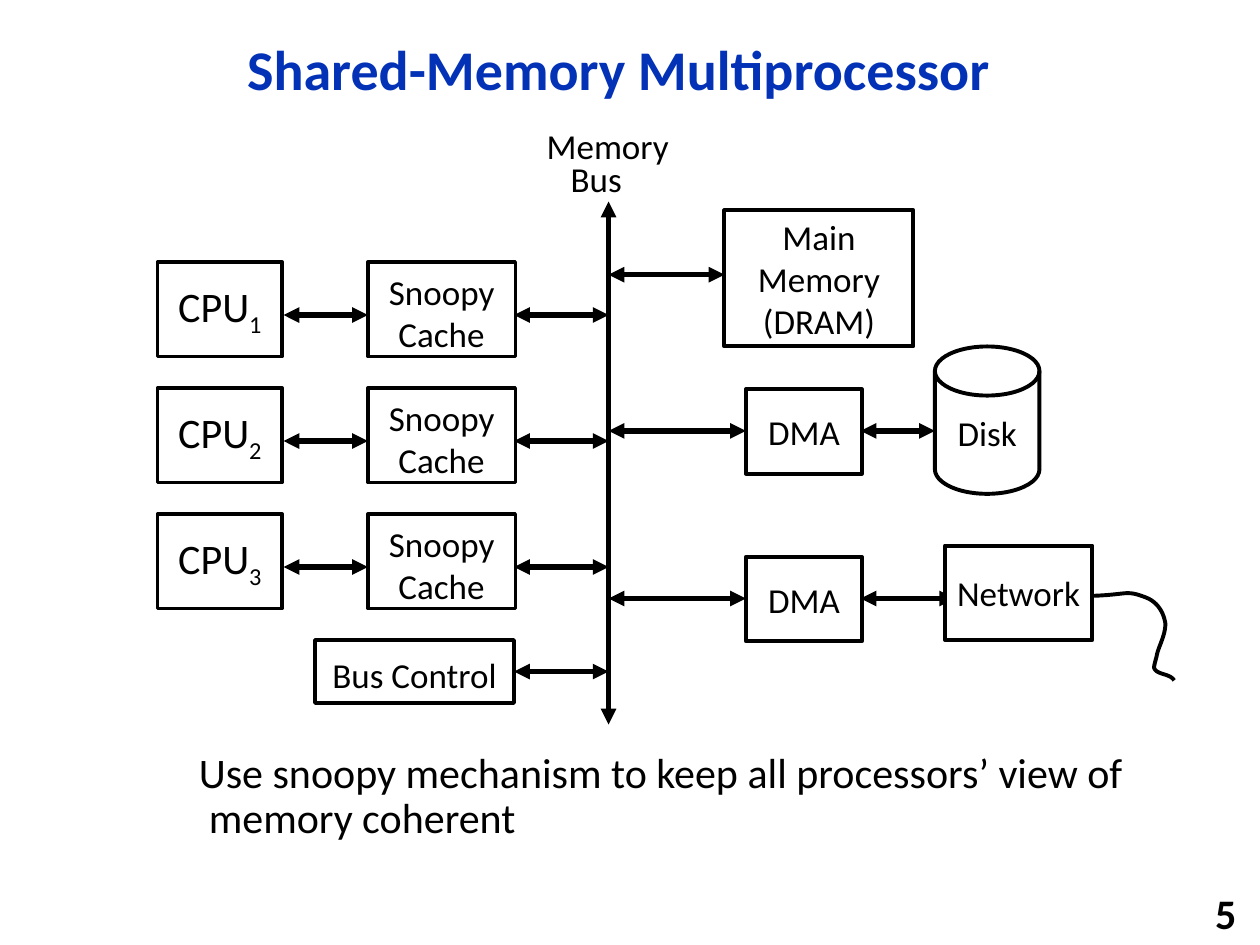
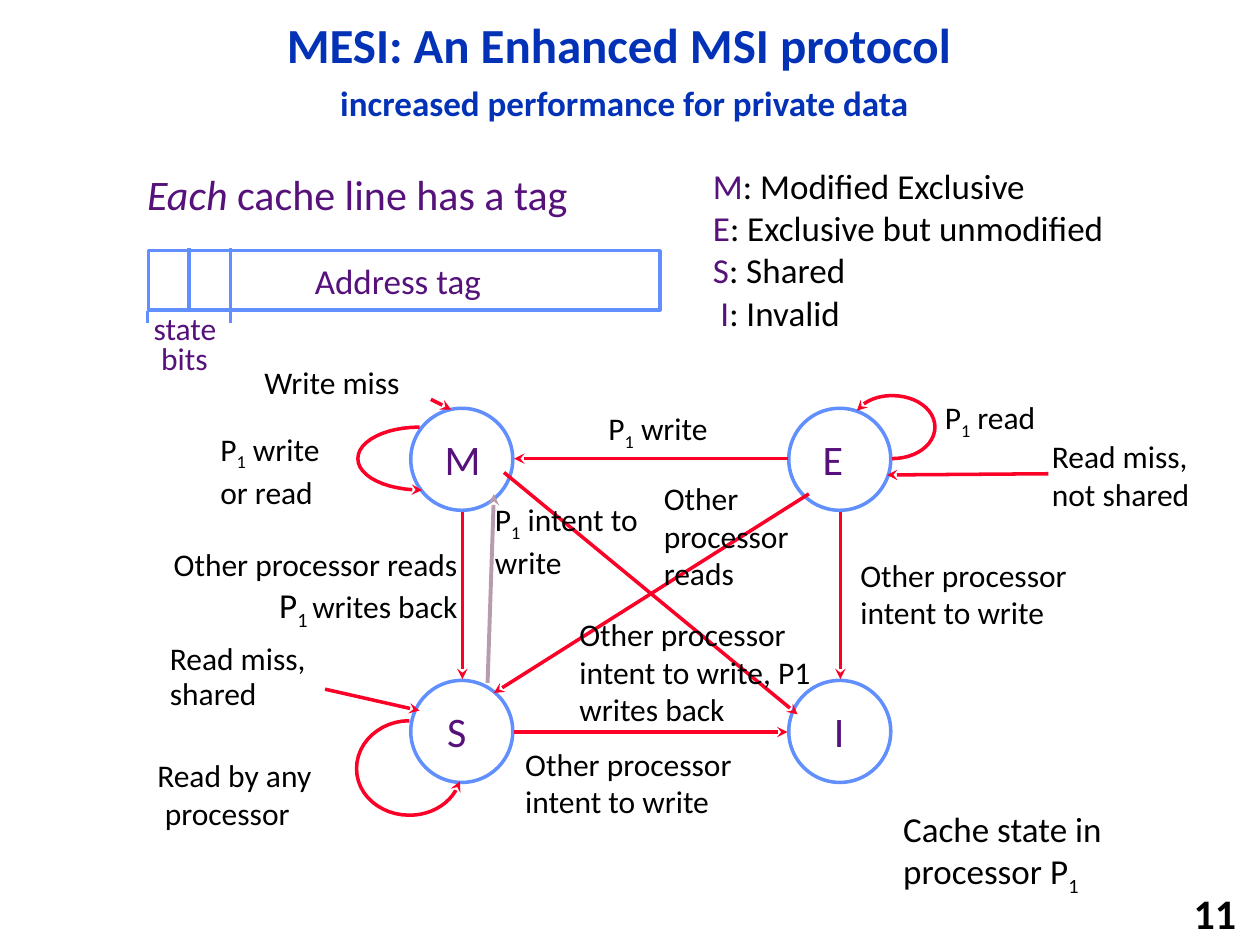
from lxml.etree import SubElement
from pptx import Presentation
from pptx.dml.color import RGBColor
from pptx.enum.shapes import MSO_CONNECTOR, MSO_SHAPE
from pptx.enum.text import MSO_ANCHOR, PP_ALIGN
from pptx.oxml.ns import qn
from pptx.util import Inches, Pt

FONT = "Calibri"
BLACK, WHITE, BLUE = "000000", "FFFFFF", "0332B7"
PURPLE, SKY, RED, MAUVE = "56127A", "618FFD", "FC0128", "B69CAC"
LEFT, CENTER, RIGHT = PP_ALIGN.LEFT, PP_ALIGN.CENTER, PP_ALIGN.RIGHT


def color(value):
    """Turn a hex string into a colour."""
    return RGBColor.from_string(value)


def apply_format(target, values):
    """Set each attribute named in a dict."""
    for name, value in values.items():
        setattr(target, name, value)


def sub(before, digit, after=""):
    """Return spans with a subscript between two plain parts."""
    return [(before, {}), (digit, {"baseline": "-25000"}), (after, {})]


def add_span(para, text, size, ink, values):
    """Add one formatted span to a paragraph."""
    values = dict(values)
    ink = values.pop("ink", ink)
    baseline = values.pop("baseline", None)
    span = para.add_run()
    span.text = text
    apply_format(span.font, {"name": FONT, "size": Pt(size), **values})
    span.font.color.rgb = color(ink)
    if baseline:
        span._r.get_or_add_rPr().set("baseline", baseline)


def write(frame, lines, size, ink=BLACK, align=LEFT, spacing=1.0, indents=(), bold=False):
    """Fill a text frame; each line is a string or a list of spans."""
    indents = dict(indents)
    for index, line in enumerate(lines):
        para = frame.paragraphs[0] if index == 0 else frame.add_paragraph()
        apply_format(para, {"alignment": align, "line_spacing": spacing})
        if index in indents:
            margin, first = indents[index]
            properties = para._p.get_or_add_pPr()
            properties.set("marL", str(Inches(margin)))
            properties.set("indent", str(Inches(first)))
        for text, values in [(line, {})] if isinstance(line, str) else line:
            if text:
                add_span(para, text, size, ink, {"bold": bold, **values})


def add_text(page, place, lines, size=18, wrap=False, anchor=MSO_ANCHOR.TOP, **style):
    """Add a text box and return its frame."""
    frame = page.shapes.add_textbox(*map(Inches, place)).text_frame
    apply_format(frame, {"word_wrap": wrap, "vertical_anchor": anchor})
    write(frame, lines, size, **style)
    return frame


def add_shape(page, kind, place, outline=BLACK, width=2.0):
    """Add a white outlined preset shape."""
    shape = page.shapes.add_shape(kind, *map(Inches, place))
    shape.shadow.inherit = False
    shape.fill.solid()
    shape.fill.fore_color.rgb = color(WHITE)
    shape.line.color.rgb = color(outline)
    shape.line.width = Pt(width)
    return shape


def add_unit(page, place, line, size=20, width=2.25, kind=MSO_SHAPE.RECTANGLE,
             insets=(0, 0, 0, 0), wrap=True):
    """Add a labelled hardware unit."""
    frame = add_shape(page, kind, place, width=width).text_frame
    sides = ("margin_left", "margin_top", "margin_right", "margin_bottom")
    apply_format(frame, dict(zip(sides, map(Inches, insets))))
    apply_format(frame, {"word_wrap": wrap, "vertical_anchor": MSO_ANCHOR.MIDDLE})
    write(frame, [line], size, align=CENTER)


def add_arrowheads(shape, head, tail):
    """Put arrowheads on the ends of a line."""
    outline = shape._element.spPr.get_or_add_ln()
    for tag, kind in (("a:headEnd", head), ("a:tailEnd", tail)):
        if kind:
            SubElement(outline, qn(tag)).set("type", kind)


def add_line(page, start, end, ink, width=2.0, head=None, tail=None):
    """Add a straight line with optional arrowheads."""
    line = page.shapes.add_connector(MSO_CONNECTOR.STRAIGHT, *map(Inches, (*start, *end)))
    line.line.color.rgb = color(ink)
    line.line.width = Pt(width)
    add_arrowheads(line, head, tail)
    SubElement(line._element.spPr, qn("a:effectLst"))


def add_link(page, start, end):
    """Add a two-way hardware link."""
    add_line(page, start, end, BLACK, 3, "triangle", "triangle")


def curve_points(start, curves, steps=12):
    """Sample a chain of cubic curves."""
    points = []
    for x1, y1, x2, y2, x3, y3 in curves:
        for step in range(1, steps + 1):
            t = step / steps
            weights = ((1 - t) ** 3, 3 * t * (1 - t) ** 2, 3 * t * t * (1 - t), t ** 3)
            points.append(tuple(
                Inches(sum(w * v for w, v in zip(weights, axis)))
                for axis in ((start[0], x1, x2, x3), (start[1], y1, y2, y3))))
        start = (x3, y3)
    return points


def add_curve(page, start, curves, ink, width=2.0, head=None):
    """Add an open curved line."""
    builder = page.shapes.build_freeform(*map(Inches, start))
    builder.add_line_segments(curve_points(start, curves), close=False)
    shape = builder.convert_to_shape()
    shape.shadow.inherit = False
    shape.fill.background()
    shape.line.color.rgb = color(ink)
    shape.line.width = Pt(width)
    add_arrowheads(shape, head, None)


def add_page(deck, number, title, size, subtitle=None):
    """Add a blank page with its title and number."""
    page = deck.slides.add_slide(deck.slide_layouts[6])
    lines = [title]
    if subtitle:
        lines.append([(subtitle, {"size": Pt(20)})])
    frame = add_text(page, (0.92, 0.17, 7.98, 0.81), lines, size, True, MSO_ANCHOR.MIDDLE,
                     ink=BLUE, align=CENTER, spacing=0.9, bold=True,
                     indents={1: (0.09, 0)})
    if subtitle:
        frame.paragraphs[1].space_before = Pt(7)
    add_text(page, (7.83, 7.08, 2.08, 0.32), [str(number)], 24, True, MSO_ANCHOR.MIDDLE,
             align=RIGHT, bold=True)
    return page


def build_multiprocessor(deck):
    """Draw processors, caches and devices around the memory bus."""
    page = add_page(deck, 5, "Shared-Memory Multiprocessor", 32)
    bus = 4.83
    cache_insets = (0.1, 0.05, 0.1, 0)
    add_link(page, (bus, 1.6), (bus, 5.75))
    for row in range(3):
        top = 2.08 + row
        middle = top + 0.42
        add_link(page, (2.25, middle), (2.92, middle))
        add_link(page, (4.08, middle), (bus, middle))
        add_unit(page, (1.25, top, 0.99, 0.75), sub("CPU", str(row + 1)), 24, 2,
                 insets=(0.1, 0.05, 0.1, 0.05), wrap=False)
        add_unit(page, (2.92, top, 1.17, 0.75), "Snoopy Cache", width=2, insets=cache_insets)
    add_link(page, (4.08, 5.33), (bus, 5.33))
    add_unit(page, (2.5, 5.08, 1.58, 0.5), "Bus Control", width=2, insets=cache_insets)

    add_link(page, (bus, 2.18), (5.75, 2.18))
    add_unit(page, (5.75, 1.67, 1.5, 1.08), "Main Memory (DRAM)")
    for middle, device in ((3.42, 7.42), (4.75, 7.58)):
        add_link(page, (bus, middle), (5.92, middle))
        add_link(page, (6.83, middle), (device, middle))
        add_unit(page, (5.92, middle - 0.33, 0.92, 0.67), "DMA")
    add_unit(page, (7.42, 2.75, 0.83, 1.17), "Disk", kind=MSO_SHAPE.FLOWCHART_MAGNETIC_DISK)
    add_unit(page, (7.5, 4.33, 1.17, 0.75), "Network")
    add_curve(page, (8.66, 4.73), [
        (8.96, 4.72, 8.93, 4.68, 9.09, 4.74), (9.2, 4.78, 9.24, 4.88, 9.25, 4.95),
        (9.25, 5.05, 9.19, 5.14, 9.18, 5.21), (9.17, 5.25, 9.16, 5.28, 9.16, 5.3),
        (9.18, 5.36, 9.28, 5.34, 9.32, 5.4)], BLACK, 2.25)

    add_text(page, (4.24, 1, 1.19, 0.65), ["Memory", "Bus"], 20, spacing=0.8,
             indents={1: (0.19, 0)})
    add_text(page, (1.25, 5.92, 7.83, 1),
             ["Use snoopy mechanism to keep all processors’ view of memory coherent"],
             24, True, spacing=0.9, indents={0: (0.31, -0.08)})


def add_cache_line(page):
    """Draw the tag layout and the legend of states."""
    add_shape(page, MSO_SHAPE.RECTANGLE, (1.18, 1.99, 4.06, 0.47), SKY)
    for x, top, bottom in ((1.5, 1.97, 2.47), (1.83, 1.97, 2.47),
                           (1.17, 2.47, 2.56), (1.83, 2.47, 2.56)):
        add_line(page, (x, top), (x, bottom), SKY)
    add_text(page, (1.07, 1.29, 3.6, 0.51),
             [[("Each ", {"italic": True}), ("cache line has a tag", {})]], 24, ink=PURPLE)
    add_text(page, (2.4, 2.01, 1.54, 0.44), ["Address tag"], 20, ink=PURPLE)
    add_text(page, (1.12, 2.46, 0.72, 0.6), ["state", "bits"], ink=PURPLE, spacing=0.8,
             indents={1: (0.06, 0)})
    meanings = {"M": "Modified Exclusive", "E": "Exclusive but unmodified",
                "S": "Shared", "I": "Invalid"}
    add_text(page, (5.56, 1.26, 3.34, 1.45),
             [[(state, {"ink": PURPLE}), (": " + meaning, {})]
              for state, meaning in meanings.items()], 20, indents={3: (0.06, 0)})


def build_protocol(deck):
    """Draw the state diagram of the protocol."""
    page = add_page(deck, 11, "MESI: An Enhanced MSI protocol", 28,
                    "increased performance for private data")
    add_cache_line(page)
    states = [("M", 3.26, 3.24, 0.17, 0.49), ("E", 6.26, 3.24, 0.17, 0.37),
              ("S", 3.26, 5.4, 0.19, 0.36), ("I", 6.26, 5.4, 0.26, 0.29)]
    for state, left, top, shift, width in states:
        add_shape(page, MSO_SHAPE.OVAL, (left, top, 0.81, 0.81), SKY)
        add_text(page, (left + shift, top + 0.15, width, 0.51), [state], 24, ink=PURPLE)

    transitions = [
        ((3.42, 3.17), (3.58, 3.25)), ((6.67, 4.06), (6.67, 5.39)),
        ((2.58, 5.47), (3.33, 5.64)), ((4.08, 5.81), (6.25, 5.81)),
        ((6.25, 3.64), (4.08, 3.64)), ((3.67, 4.06), (3.67, 5.39)),
        ((8.32, 3.76), (7.04, 3.77)), ((6.42, 3.92), (3.92, 5.5)),
        ((4, 3.75), (6.33, 5.67))]
    for start, end in transitions:
        add_line(page, start, end, RED, tail="stealth")
    add_line(page, (3.87, 5.42), (3.92, 3.92), MAUVE, 2.25, tail="stealth")

    loops = [
        ((3.65, 6.2), [(3.6, 6.36, 3.44, 6.47, 3.25, 6.47), (3.02, 6.47, 2.83, 6.31, 2.83, 6.1),
                       (2.83, 5.89, 3.02, 5.72, 3.25, 5.72)]),
        ((6.8, 3.26), [(6.86, 3.18, 6.97, 3.14, 7.08, 3.14), (7.27, 3.14, 7.42, 3.25, 7.42, 3.39),
                       (7.42, 3.53, 7.27, 3.64, 7.08, 3.64)]),
        ((3.35, 3.89), [(3.06, 3.89, 2.84, 3.78, 2.84, 3.64),
                        (2.84, 3.5, 3.06, 3.39, 3.33, 3.39)])]
    for start, curves in loops:
        add_curve(page, start, curves, RED, head="stealth")

    intent = ["Other processor", "intent to write"]
    labels = [
        ((2, 2.83, 1.3, 0.4), ["Write miss"], {}),
        ((6.73, 4.36, 1.86, 0.71), intent, {}),
        ((4.07, 5.86, 1.86, 0.71), intent, {}),
        ((1.25, 5.06, 1.3, 0.65), ["Read miss,", "shared"], {"spacing": 0.9}),
        ((4.73, 3.2, 1.01, 0.4), [sub("P", "1", " write")], {}),
        ((1.15, 5.95, 1.45, 0.71), ["Read by any", "processor"], {"indents": {1: (0.06, 0)}}),
        ((1.24, 4.28, 2.49, 0.74),
         ["Other processor reads",
          [("P", {"size": Pt(20)}), ("1 ", {"size": Pt(20), "baseline": "-25000"}),
           ("writes back", {})]], {"align": RIGHT}),
        ((7.4, 3.11, 0.94, 0.4), [sub("P", "1", " read")], {}),
        ((1.65, 3.36, 1.01, 0.71), [sub("P", "1", " write"), "or read"], {}),
        ((7.07, 6.36, 2.39, 0.77), [sub("Cache state in processor P", "1")],
         {"size": 20, "wrap": True}),
        ((3.83, 3.92, 1.5, 0.71), [sub("P", "1", " intent to write")], {"wrap": True}),
        ((8.25, 3.42, 1.6, 0.7), ["Read miss, not shared"], {"wrap": True}),
        ((5.17, 3.75, 1.67, 1.01), ["Other processor", "reads"], {"wrap": True}),
        ((4.5, 4.83, 2.33, 1.01), ["Other processor intent to write, P1 writes back"],
         {"wrap": True})]
    for place, lines, style in labels:
        add_text(page, place, lines, **style)


def main():
    """Build and save the deck."""
    deck = Presentation()
    apply_format(deck, {"slide_width": Inches(10), "slide_height": Inches(7.5)})
    build_multiprocessor(deck)
    build_protocol(deck)
    deck.save("out.pptx")


if __name__ == "__main__":
    main()
